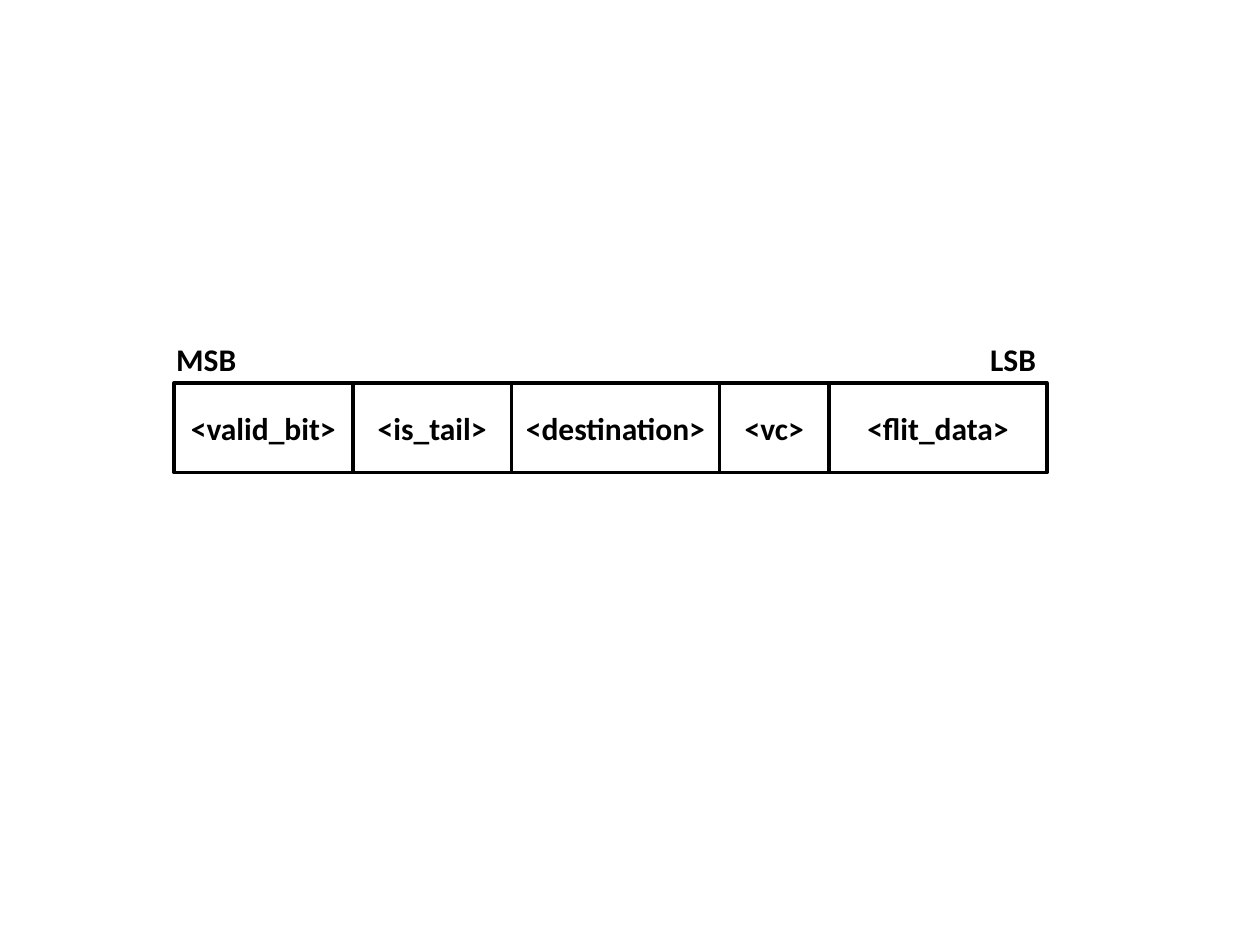
from dataclasses import dataclass

from pptx import Presentation
from pptx.dml.color import RGBColor as Rgb
from pptx.enum.shapes import MSO_SHAPE as Kind
from pptx.enum.text import MSO_ANCHOR as Anchor, MSO_AUTO_SIZE as Fit, PP_ALIGN as Align
from pptx.text.text import TextFrame as Frame
from pptx.util import Inches, Pt

INK = "000000"
FONT = {"name": "Calibri", "size": Pt(18), "bold": True}
LEFT, TOP, HIGH = 1.38, 3.04, 0.71


@dataclass
class Part:
    text: str
    width: float


@dataclass
class Mark:
    text: str
    left: float
    width: float


def color(code: str) -> Rgb:
    return Rgb.from_string(code)


def write(frame: Frame, text: str, align: Align) -> None:
    para = frame.paragraphs[0]
    para.alignment = align
    run = para.add_run()
    run.text = text
    for key, value in FONT.items():
        setattr(run.font, key, value)
    run.font.color.rgb = color(INK)


def draw_part(part: Part, left: float) -> None:
    box = slide.shapes.add_shape(
        Kind.RECTANGLE, Inches(left), Inches(TOP), Inches(part.width), Inches(HIGH))
    box.shadow.inherit = False
    box.fill.background()
    box.line.color.rgb = color(INK)
    box.line.width = Pt(2)
    frame = box.text_frame
    frame.vertical_anchor = Anchor.MIDDLE
    frame.word_wrap = False
    write(frame, part.text, Align.CENTER)


def draw_mark(mark: Mark) -> None:
    box = slide.shapes.add_textbox(
        Inches(mark.left), Inches(2.65), Inches(mark.width), Inches(0.4))
    frame = box.text_frame
    frame.word_wrap = False
    frame.auto_size = Fit.SHAPE_TO_FIT_TEXT
    write(frame, mark.text, Align.LEFT)


deck = Presentation()
deck.slide_width, deck.slide_height = Inches(10), Inches(7.5)
slide = deck.slides.add_slide(deck.slide_layouts[6])

# Flit fields, side by side
parts = [
    Part("<valid_bit>", 1.42),
    Part("<is_tail>", 1.26),
    Part("<destination>", 1.65),
    Part("<vc>", 0.87),
    Part("<flit_data>", 1.73),
]
left = LEFT
for part in parts:
    draw_part(part, left)
    left += part.width

# Bit order marks
for mark in [Mark("MSB", 1.3, 0.68), Mark("LSB", 7.76, 0.57)]:
    draw_mark(mark)

deck.save("out.pptx")
